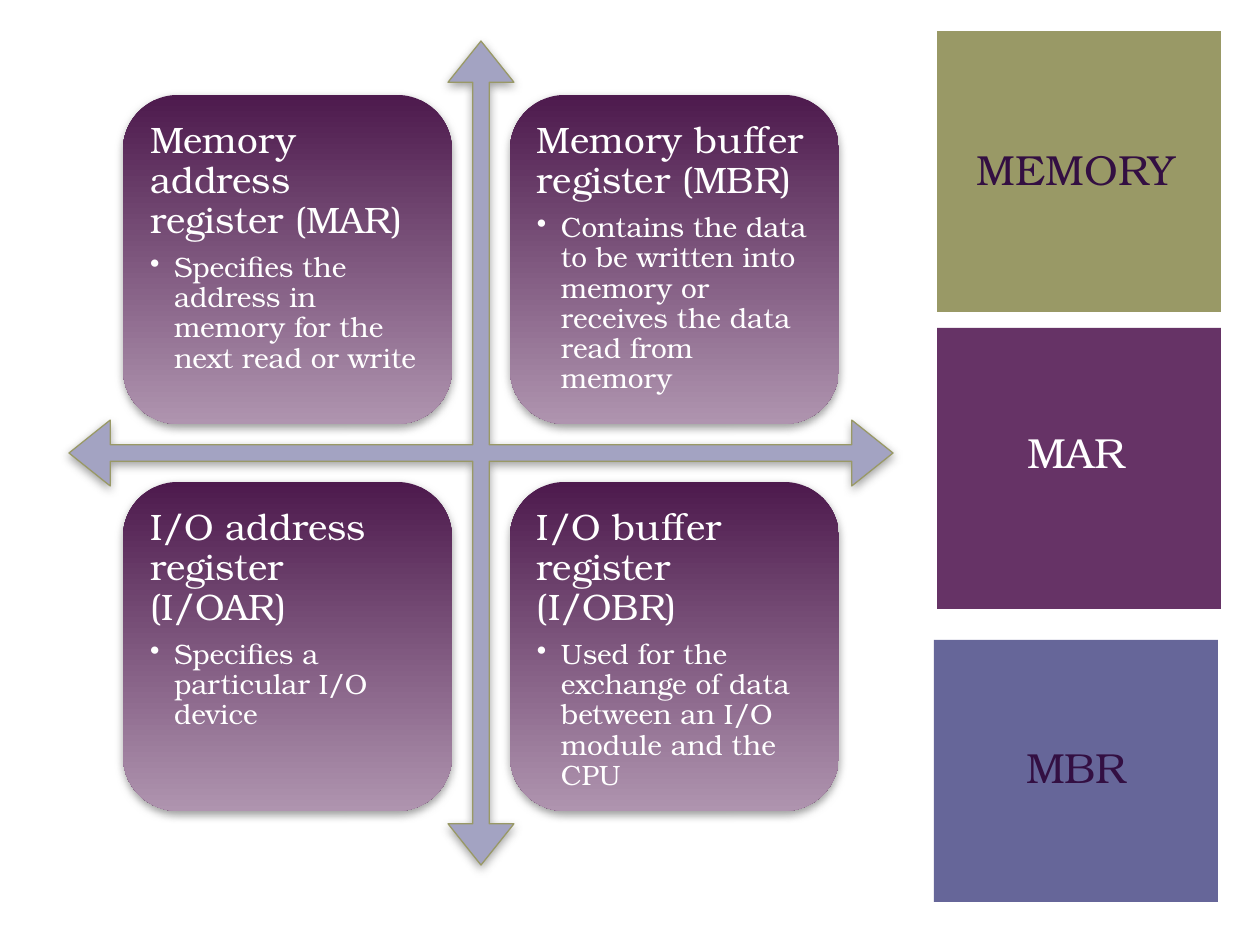
from lxml import etree
from pptx import Presentation, util as u
from pptx.dml.color import RGBColor
from pptx.enum import shapes, text
from pptx.oxml.ns import qn

PX = 914400 / 126
FONT = "TeX Gyre Bonum"
WHITE = RGBColor(0xFF, 0xFF, 0xFF)
INK = RGBColor(0x33, 0x0F, 0x42)
OLIVE = RGBColor(0x99, 0x99, 0x66)
PLUM = RGBColor(0x66, 0x33, 0x66)
SLATE = RGBColor(0x66, 0x66, 0x99)
LAVENDER = RGBColor(0xA3, 0xA3, 0xC2)
CARD_TOP = RGBColor(0x4D, 0x1A, 0x4D)
CARD_BOTTOM = RGBColor(0xAF, 0x94, 0xAF)

REGISTERS = [
    ("Memory address register (MAR)",
     "Specifies the address in memory for the next read or write"),
    ("Memory buffer register (MBR)",
     "Contains the data to be written into memory or receives the data read from memory"),
    ("I/O address register (I/OAR)",
     "Specifies a particular I/O device"),
    ("I/O buffer register (I/OBR)",
     "Used for the exchange of data between an I/O module and the CPU"),
]

# left, top, height, fill, label, label colour, label top
PANELS = [
    (937, 31, 281, OLIVE, "MEMORY", INK, 137),
    (937, 328, 281, PLUM, "MAR", WHITE, 420),
    (934, 640, 262, SLATE, "MBR", INK, 735),
]
PANEL_W = 284


def px(*lengths):
    return [u.Emu(round(n * PX)) for n in lengths]


def add_shape(s, kind, *box):
    sp = s.shapes.add_shape(kind, *px(*box))
    sp.shadow.inherit = False
    sp.line.fill.background()
    return sp


def add_shadow(sp):
    """Give the shape a soft grey shadow that falls straight down."""
    effects = sp._element.spPr.find(qn("a:effectLst"))
    shadow = etree.SubElement(effects, qn("a:outerShdw"), blurRad=str(u.Pt(5)),
                              dist=str(u.Pt(2)), dir="5400000", rotWithShape="0")
    grey = etree.SubElement(shadow, qn("a:srgbClr"), val="808080")
    etree.SubElement(grey, qn("a:alpha"), val="75000")


def style(p, size, color):
    for r in p.runs:
        r.font.name = FONT
        r.font.size = u.Pt(size)
        r.font.color.rgb = color


def add_bullet(p, indent):
    pPr = p._p.get_or_add_pPr()
    pPr.set("marL", str(indent))
    pPr.set("indent", str(-indent))
    etree.SubElement(pPr, qn("a:buChar"), char="•")


def add_card(s, left, top, size, title, detail):
    sp = add_shape(s, shapes.MSO_SHAPE.ROUNDED_RECTANGLE, left, top, size, size)
    sp.fill.gradient()
    sp.fill.gradient_angle = 270
    for stop, color, position in zip(sp.fill.gradient_stops, (CARD_TOP, CARD_BOTTOM), (0, 1)):
        stop.color.rgb = color
        stop.position = position
    add_shadow(sp)

    tf = sp.text_frame
    tf.word_wrap = True
    tf.vertical_anchor = text.MSO_ANCHOR.TOP
    tf.margin_left = tf.margin_top = tf.margin_right = tf.margin_bottom = px(11)[0]
    heading, body = tf.paragraphs[0], tf.add_paragraph()
    heading.text, body.text = title, detail
    body.level = 1
    for p, size, after in ((heading, 21, 7), (body, 16, 2)):
        p.alignment = text.PP_ALIGN.LEFT
        p.line_spacing = 0.9
        p.space_after = u.Pt(after)
        style(p, size, WHITE)
    add_bullet(body, px(24)[0])


def add_register_matrix(s, left, top, size):
    """Draw the four-way arrow with one card in each quadrant."""
    arrow = add_shape(s, shapes.MSO_SHAPE.QUAD_ARROW, left, top, size, size)
    for i, ratio in enumerate((0.02, 0.04, 0.05)):
        arrow.adjustments[i] = ratio
    arrow.fill.solid()
    arrow.fill.fore_color.rgb = LAVENDER
    arrow.line.color.rgb = OLIVE
    arrow.line.width = u.Pt(0.75)
    add_shadow(arrow)

    card, pitch = 329, 387
    margin = (size - card - pitch) // 2
    for i, (title, detail) in enumerate(REGISTERS):
        row, col = divmod(i, 2)
        add_card(s, left + margin + col * pitch, top + margin + row * pitch,
                 card, title, detail)


def add_panel(s, left, top, height, fill, label, color, label_top):
    sp = add_shape(s, shapes.MSO_SHAPE.RECTANGLE, left, top, PANEL_W, height)
    sp.fill.solid()
    sp.fill.fore_color.rgb = fill

    tf = s.shapes.add_textbox(*px(934, label_top, PANEL_W, 63)).text_frame
    tf.word_wrap = True
    tf.vertical_anchor = text.MSO_ANCHOR.BOTTOM
    p = tf.paragraphs[0]
    p.text = label
    p.alignment = text.PP_ALIGN.CENTER
    style(p, 24, color)


def main():
    prs = Presentation()
    prs.slide_width, prs.slide_height = px(1260, 945)
    s = prs.slides.add_slide(prs.slide_layouts[6])
    add_register_matrix(s, 69, 41, 824)
    for panel in PANELS:
        add_panel(s, *panel)
    prs.save("out.pptx")


if __name__ == "__main__":
    main()
